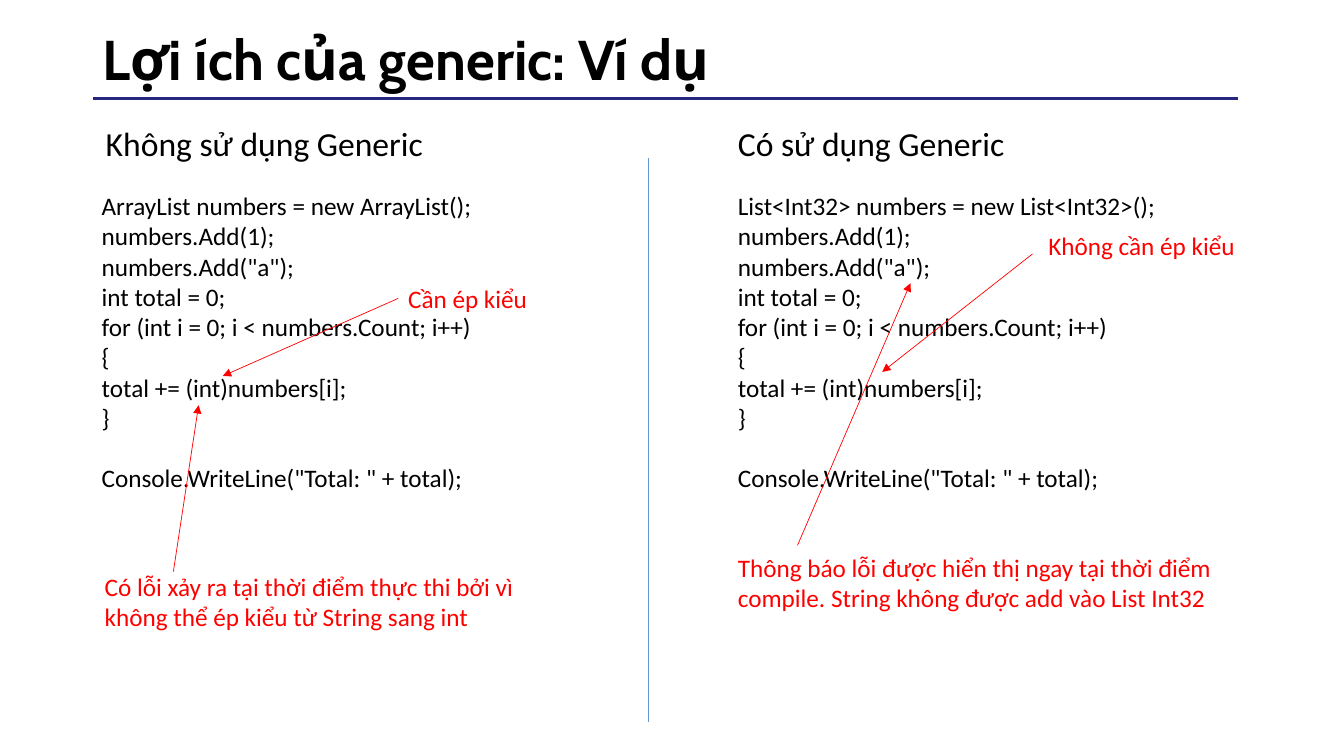
from dataclasses import dataclass

from lxml.etree import SubElement
from pptx import Presentation
from pptx.dml.color import RGBColor
from pptx.enum.shapes import MSO_CONNECTOR
from pptx.enum.text import MSO_ANCHOR, MSO_AUTO_SIZE
from pptx.oxml.ns import qn
from pptx.util import Pt

SCALE = 9144  # EMU in one px, at 100 px to the inch


@dataclass(frozen=True)
class Theme:
    ink: str = "000000"
    alert: str = "FF0000"
    rule: str = "272780"
    split: str = "5B9BD5"
    head: str = "Cabin"
    body: str = "Calibri"
    title: int = 40
    topic: int = 24
    text: int = 18
    thick: float = 2
    thin: float = 0.5


def apply(item, values):
    for name, value in values.items():
        setattr(item, name, value)


class Page:
    def __init__(self, deck, theme):
        self.theme = theme
        self.slide = deck.slides.add_slide(deck.slide_layouts[6])

    def text(self, words, box, size=None, color=None, wrap=True):
        """Add a growing text box; a vertical tab in words breaks a line."""
        shape = self.slide.shapes.add_textbox(*(n * SCALE for n in box))
        frame = shape.text_frame
        frame.text = words
        apply(frame, {"word_wrap": wrap, "auto_size": MSO_AUTO_SIZE.SHAPE_TO_FIT_TEXT})
        style = {"name": self.theme.body, "size": Pt(size or self.theme.text)}
        for para in frame.paragraphs:
            for run in para.runs:
                apply(run.font, style)
                run.font.color.rgb = RGBColor.from_string(color or self.theme.ink)
        return shape

    def title(self, words, box):
        frame = self.text(words, box, self.theme.title).text_frame
        apply(frame, {"auto_size": MSO_AUTO_SIZE.NONE, "vertical_anchor": MSO_ANCHOR.MIDDLE})
        para = frame.paragraphs[0]
        para.line_spacing = 0.9
        apply(para.runs[0].font, {"name": self.theme.head, "bold": True})

    def note(self, words, box):
        return self.text(words, box, color=self.theme.alert)

    def line(self, ends, color, width):
        link = self.slide.shapes.add_connector(
            MSO_CONNECTOR.STRAIGHT, *(n * SCALE for n in ends))
        link.line.color.rgb = RGBColor.from_string(color)
        link.line.width = Pt(width)
        SubElement(link._element.spPr, qn("a:effectLst"))
        return link

    def arrow(self, *ends):
        link = self.line(ends, self.theme.alert, self.theme.thin)
        SubElement(link.line._get_or_add_ln(), qn("a:tailEnd"), type="triangle")
        return link


CODE = """{kind} numbers = new {kind}();
numbers.Add(1);
numbers.Add("a");
int total = 0;
for (int i = 0; i < numbers.Count; i++)
{{
total += (int)numbers[i];
}}
\vConsole.WriteLine("Total: " + total);"""

SIDES = [
    ("Không sử dụng Generic", (95, 117, 378, 50), "ArrayList", (91, 184, 472, 357)),
    ("Có sử dụng Generic", (722, 117, 324, 50), "List<Int32>", (722, 184, 604, 347)),
]


def main():
    deck = Presentation()
    apply(deck, {"slide_width": 1333 * SCALE, "slide_height": 750 * SCALE})
    theme = Theme()
    page = Page(deck, theme)

    page.line((1228, 98, 92, 98), theme.rule, theme.thick)
    page.title("Lợi ích của generic: Ví dụ", (92, 17, 1150, 89))
    for topic, top, kind, area in SIDES:
        page.text(CODE.format(kind=kind), area)
        page.text(topic, top, theme.topic, wrap=False)
    page.line((643, 157, 643, 716), theme.split, theme.thin)

    page.note("Có lỗi xảy ra tại thời điểm thực thi bởi vì "
              "không thể ép kiểu từ String sang int", (94, 562, 432, 101))
    page.note("Thông báo lỗi được hiển thị ngay tại thời điểm compile. "
              "String không được add vào List Int32", (722, 543, 507, 101))
    cast = page.note("Cần ép kiểu", (395, 276, 190, 40))
    page.note("Không cần ép kiểu", (1030, 224, 230, 40))

    page.arrow(172, 567, 197, 402)
    page.arrow(791, 541, 903, 281)
    page.arrow(1024, 252, 875, 369)
    page.arrow(395, 296, 221, 373).begin_connect(cast, 1)

    deck.save("out.pptx")


if __name__ == "__main__":
    main()
